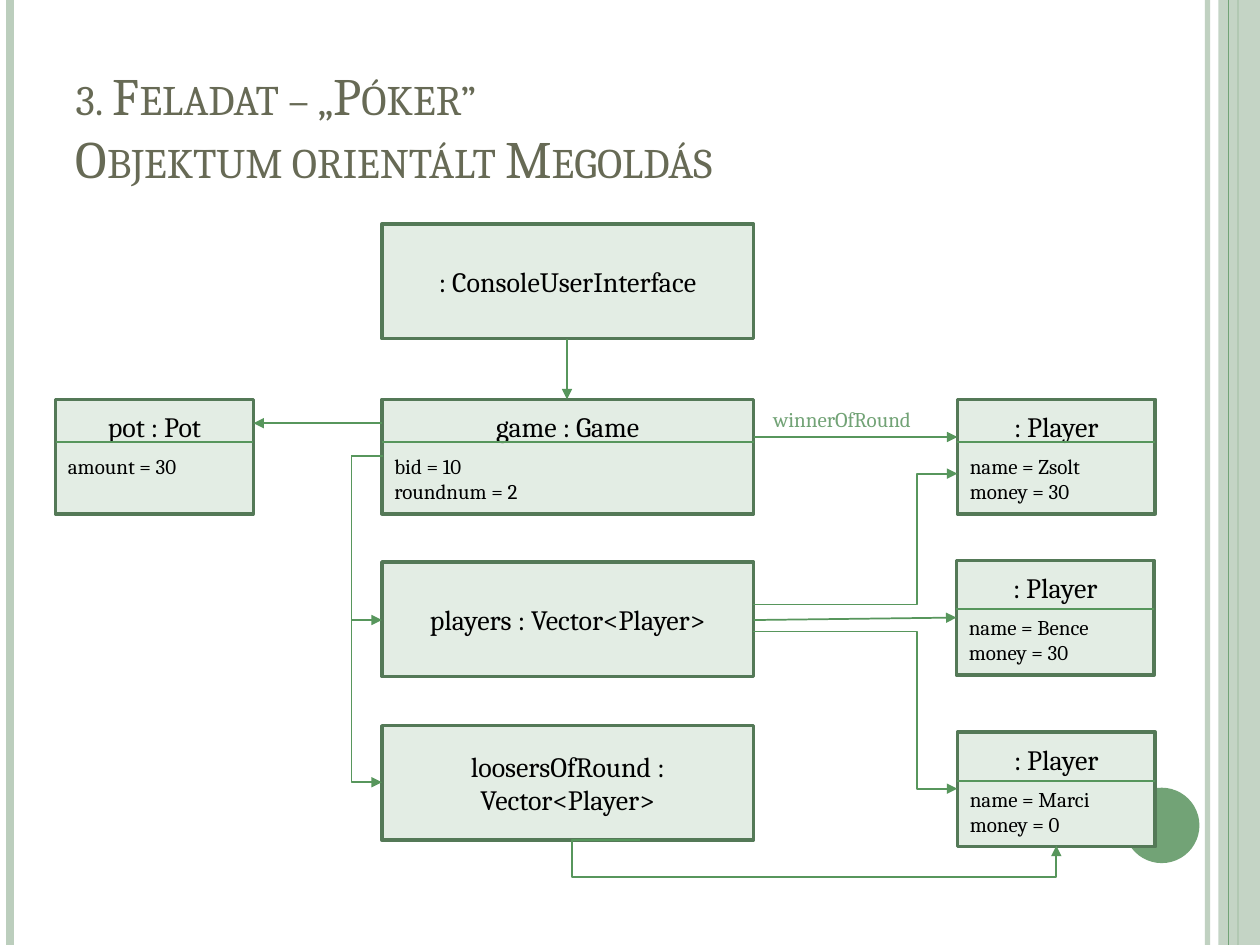
import pptx
import pptx.util
import pptx.dml.color
import pptx.enum.shapes
import pptx.enum.text
import pptx.oxml.ns
import lxml.etree
from dataclasses import dataclass

Cm = pptx.util.Cm
Pt = pptx.util.Pt
qn = pptx.oxml.ns.qn
Kind = pptx.enum.shapes.MSO_SHAPE
Link = pptx.enum.shapes.MSO_CONNECTOR
Align = pptx.enum.text.PP_ALIGN
Anchor = pptx.enum.text.MSO_ANCHOR


@dataclass(frozen=True)
class Theme:
    font: str = "Cambria"
    ink: str = "000000"
    title: str = "676A55"
    pale: str = "BCCEBD"
    green: str = "72A376"
    fill: str = "E3EDE4"
    edge: str = "547957"
    wire: str = "57965C"
    head: int = 30
    name: int = 16
    note: int = 12


theme = Theme()


def rgb(color):
    return pptx.dml.color.RGBColor.from_string(color)


def fade(part, share):
    for color in part.iter(qn("a:srgbClr")):
        lxml.etree.SubElement(color, qn("a:alpha"), val=str(share * 1000))


def write(para, text, size, color):
    for i, row in enumerate(text.split("\n")):
        if i:
            para.add_line_break()
        run = para.add_run()
        run.text = row
        run.font.name = theme.font
        run.font.size = Pt(size)
        run.font.color.rgb = rgb(color)


def shape(shapes, kind, box, fill, edge=None):
    item = shapes.add_shape(kind, *map(Cm, box))
    item.shadow.inherit = False
    item.fill.solid()
    item.fill.fore_color.rgb = rgb(fill)
    if edge:
        item.line.color.rgb = rgb(edge)
        item.line.width = Pt(2)
    else:
        item.line.fill.background()
    return item


def wire(shapes, start, end, color=theme.wire, width=1, tip=False, bend=()):
    kind = Link.ELBOW if bend else Link.STRAIGHT
    item = shapes.add_connector(kind, *map(Cm, (*start, *end)))
    item.line.color.rgb = rgb(color)
    item.line.width = Pt(width)
    spec = item._element.spPr
    if tip:
        lxml.etree.SubElement(spec.find(qn("a:ln")), qn("a:tailEnd"), type="triangle")
    lxml.etree.SubElement(spec, qn("a:effectLst"))
    if bend:
        geom = spec.find(qn("a:prstGeom"))
        geom.set("prst", f"bentConnector{len(bend) + 2}")
        guide = geom.get_or_add_avLst()
        for i, (turn, a, b) in enumerate(zip(bend, start, end), 1):
            ratio = round((turn - a) / (b - a) * 100000)
            lxml.etree.SubElement(guide, qn("a:gd"), name=f"adj{i}", fmla=f"val {ratio}")
    return item


def frame(slide, box):
    x, y, w, h = box
    shapes = slide.shapes

    def rule(gap, color, width):
        return wire(shapes, (x + gap, y), (x + gap, y + h), color, width)

    fade(rule(24.34, theme.pale, 3)._element, 93)
    rule(0.2, theme.pale, 4.5)
    rule(24.96, theme.green, 1.5)
    band = shape(shapes, Kind.RECTANGLE, (x + 24.56, y, w - 24.56, h), theme.pale)
    fade(band._element.spPr, 87)
    rule(24.77, theme.green, 0.75)
    shape(shapes, Kind.OVAL, (x + 22.66, y + 15.88, 1.52, 1.52), theme.green)


def heading(slide, box, text):
    item = slide.shapes.title
    item.left, item.top, item.width, item.height = map(Cm, box)
    frame = item.text_frame
    frame.word_wrap = True
    frame.auto_size = pptx.enum.text.MSO_AUTO_SIZE.NONE
    frame.vertical_anchor = Anchor.BOTTOM
    para = frame.paragraphs[0]
    para.alignment = Align.LEFT
    write(para, text, theme.head, theme.title)
    for run in para.runs:
        run.font._element.set("cap", "small")


def node(shapes, box, text):
    item = shape(shapes, Kind.RECTANGLE, box, theme.fill, theme.edge)
    frame = item.text_frame
    frame.word_wrap = True
    frame.vertical_anchor = Anchor.MIDDLE
    para = frame.paragraphs[0]
    para.alignment = Align.CENTER
    write(para, text, theme.name, theme.ink)
    return frame


def card(slide, box, name, rows, gap):
    x, y, w, h = box
    group = slide.shapes.add_group_shape()
    frame = node(group.shapes, box, name)
    frame.margin_bottom = Cm(0.13 + 0.5 * (2 - len(rows)))
    frame.paragraphs[0].space_after = Pt(6)
    para = frame.add_paragraph()
    para.alignment = Align.LEFT
    write(para, "\n".join(rows), theme.note, theme.ink)
    wire(group.shapes, (x, y + gap), (x + w, y + gap))


def label(slide, box, text):
    item = slide.shapes.add_textbox(*map(Cm, box))
    item.text_frame.word_wrap = True
    write(item.text_frame.paragraphs[0], text, theme.note, theme.green)


def diagram(slide, box):
    left, top, width, high = box
    wide, slim, tall = 7.49, 3.99, 2.31
    mid, far = left + 6.58, left + width - slim
    end, row = mid + wide, top + 3.53
    cast = top + 6.81
    lost = top + 10.11
    seats = [(far, row), (far - 0.02, top + 6.78), (far, top + 10.24)]

    for y, text in (
        (top, ": ConsoleUserInterface"),
        (cast, "players : Vector<Player>"),
        (lost, "loosersOfRound : Vector<Player>"),
    ):
        node(slide.shapes, (mid, y, wide, tall), text)
    people = (("Zsolt", 30, 0.86), ("Bence", 30, 0.98), ("Marci", 0, 0.98))
    for seat, (name, money, gap) in zip(seats, people):
        rows = [f"name = {name}", f"money = {money}"]
        card(slide, (*seat, slim, tall), ": Player", rows, gap)
    card(slide, (mid, row, wide, tall), "game : Game", ["bid = 10", "roundnum = 2"], 0.86)
    card(slide, (left, row, slim, tall), "pot : Pot", ["amount = 30"], 0.86)

    axis, turn, side = mid + 3.73, far - 0.81, mid - 0.61
    foot = lost + tall
    links = [
        ((mid, row + 0.48), (left + slim, row + 0.48), ()),
        ((axis, top + tall), (axis, row), ()),
        ((end, row + 0.76), (far, row + 0.76), ()),
        ((mid + 0.02, row + 1.15), (mid, cast + 1.17), (side,)),
        ((mid + 0.02, row + 1.15), (mid, lost + 1.14), (side,)),
        ((end, cast + 0.86), (far, row + 1.5), (turn,)),
        ((end, cast + 1.4), (far, seats[2][1] + 1.14), (turn,)),
        ((end, cast + 1.17), (far - 0.02, cast + 1.12), ()),
        ((mid + 5.2, foot), (far + slim / 2, foot + 0.11), (mid + 3.83, top + high)),
    ]
    for start, stop, bend in links:
        wire(slide.shapes, start, stop, tip=True, bend=bend)
    label(slide, (end + 0.15, row + 0.03, 3.81, 0.77), "winnerOfRound")


def main():
    deck = pptx.Presentation()
    deck.slide_width, deck.slide_height = Cm(25.4), Cm(19.05)
    slide = deck.slides.add_slide(deck.slide_layouts[5])
    frame(slide, (0, 0, 25.4, 19.05))
    heading(slide, (1.27, 0.76, 20.75, 3.18), "3. Feladat – „Póker”\nObjektum orientált Megoldás")
    diagram(slide, (1.12, 4.52, 22.17, 13.16))
    deck.save("out.pptx")


if __name__ == "__main__":
    main()
